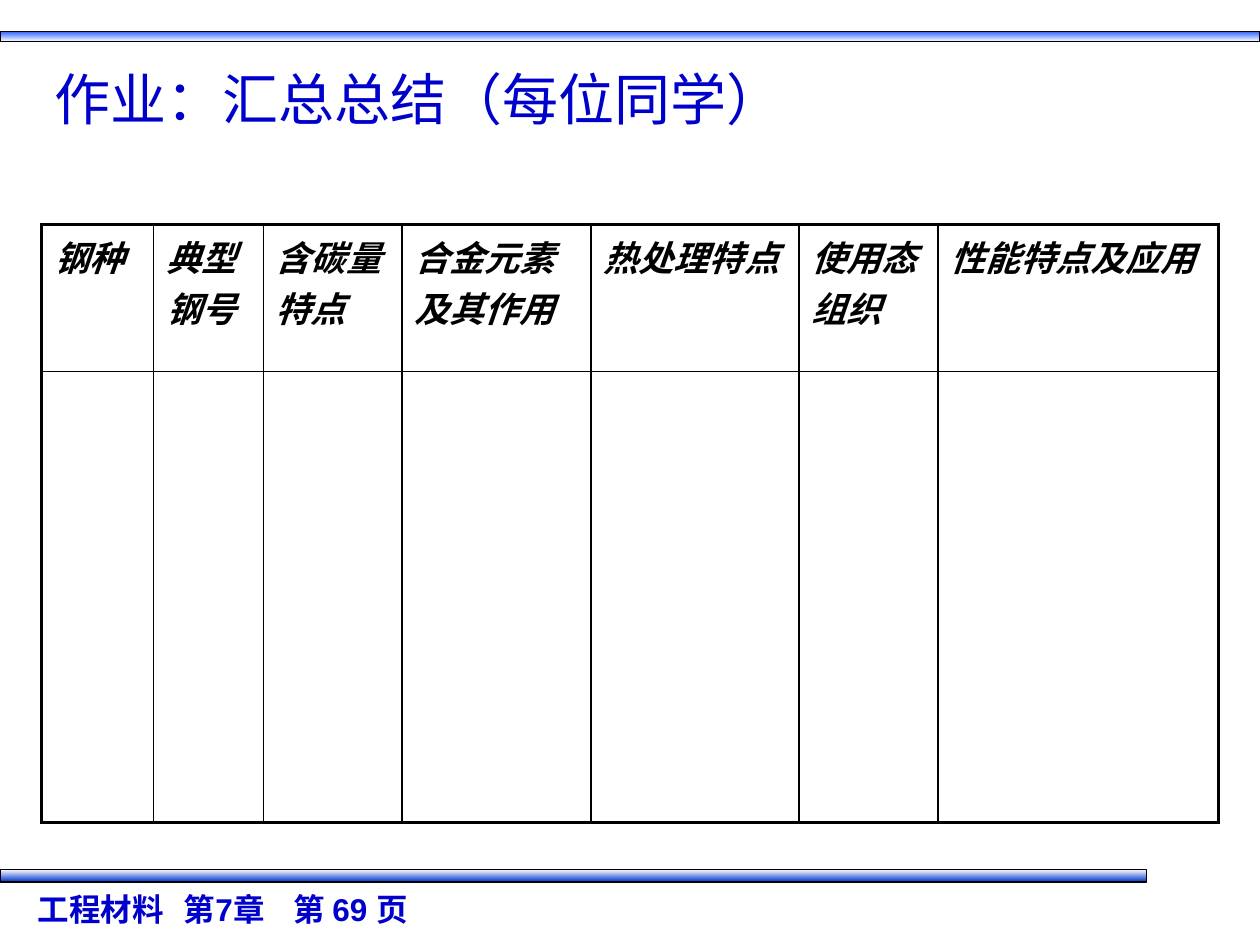
from dataclasses import dataclass

from lxml import etree
from pptx import Presentation
from pptx.dml.color import RGBColor
from pptx.enum.shapes import MSO_SHAPE
from pptx.enum.text import MSO_ANCHOR
from pptx.oxml.ns import qn
from pptx.util import Cm, Pt

RECTANGLE = MSO_SHAPE.RECTANGLE
TOP = MSO_ANCHOR.TOP

BLACK = RGBColor(0x00, 0x00, 0x00)
WHITE = RGBColor(0xFF, 0xFF, 0xFF)
TEXT_BLUE = RGBColor(0x00, 0x00, 0xCC)
LIGHT_BLUE = RGBColor(0x33, 0x66, 0xFF)
DEEP_BLUE = RGBColor(0x00, 0x33, 0xCC)

LATIN_FONT = "Arial"
CHINESE_FONT = "Noto Sans CJK SC"
OUTER_LINE = Pt(2.25)
INNER_LINE = Pt(1)


@dataclass
class Bar:
    top: float
    width: float
    height: float
    upper: RGBColor
    lower: RGBColor


@dataclass
class Column:
    heading: str
    width: float


@dataclass
class Style:
    size: float
    color: RGBColor
    font: str = LATIN_FONT
    bold: bool = False
    italic: bool = False


BARS = [
    Bar(0.64, 25.4, 0.2, LIGHT_BLUE, WHITE),
    Bar(17.53, 23.11, 0.25, WHITE, DEEP_BLUE),
]
COLUMNS = [
    Column("钢种", 2.26),
    Column("典型钢号", 2.21),
    Column("含碳量特点", 2.8),
    Column("合金元素及其作用", 3.81),
    Column("热处理特点", 4.19),
    Column("使用态组织", 2.8),
    Column("性能特点及应用", 5.66),
]
ROW_HEIGHTS = [2.97, 9.09]
FOOTER_TABS = [2.95, 5.16]

TITLE_STYLE = Style(32, TEXT_BLUE, CHINESE_FONT)
HEADING_STYLE = Style(20, BLACK, bold=True, italic=True)
FOOTER_STYLE = Style(18, TEXT_BLUE, bold=True)


def add_span(para, text: str, style: Style) -> None:
    span = para.add_run()
    span.text = text
    font = span.font
    font.size = Pt(style.size)
    font.bold = style.bold
    font.italic = style.italic
    font.color.rgb = style.color
    font.name = style.font
    east_asian = etree.SubElement(span._r.get_or_add_rPr(), qn("a:ea"))
    east_asian.set("typeface", CHINESE_FONT)


def add_text_box(page, left: float, top: float, width: float, height: float):
    """Add a wrapped text box and return its first paragraph."""
    box = page.shapes.add_textbox(Cm(left), Cm(top), Cm(width), Cm(height))
    box.text_frame.word_wrap = True
    box.text_frame.vertical_anchor = TOP
    return box.text_frame.paragraphs[0]


def add_bar(page, bar: Bar) -> None:
    shape = page.shapes.add_shape(
        RECTANGLE, Cm(0), Cm(bar.top), Cm(bar.width), Cm(bar.height))
    shape.shadow.inherit = False
    shape.fill.gradient()
    shape.fill.gradient_angle = 270
    for stop, color, position in zip(
            shape.fill.gradient_stops, (bar.upper, bar.lower), (0, 1)):
        stop.color.rgb = color
        stop.position = position
    shape.line.color.rgb = BLACK
    shape.line.width = Pt(0.75)


def set_borders(cell, widths: dict[str, int]) -> None:
    """Draw black cell borders; keys are L, R, T, B in that order."""
    properties = cell._tc.get_or_add_tcPr()
    for index, (side, width) in enumerate(widths.items()):
        line = etree.Element(qn(f"a:ln{side}"), w=str(int(width)))
        fill = etree.SubElement(line, qn("a:solidFill"))
        etree.SubElement(fill, qn("a:srgbClr"), val=str(BLACK))
        properties.insert(index, line)


def add_steel_table(page, columns: list[Column]) -> None:
    width = sum(column.width for column in columns)
    frame = page.shapes.add_table(
        len(ROW_HEIGHTS), len(columns), Cm(0.84), Cm(4.52),
        Cm(width), Cm(sum(ROW_HEIGHTS)))
    table = frame.table
    table.first_row = False
    table.horz_banding = False
    last_row, last_column = len(ROW_HEIGHTS) - 1, len(columns) - 1

    for row, height in enumerate(ROW_HEIGHTS):
        table.rows[row].height = Cm(height)
        for index, column in enumerate(columns):
            table.columns[index].width = Cm(column.width)
            cell = table.cell(row, index)
            cell.fill.background()
            on_edge = {
                "L": index == 0,
                "R": index == last_column,
                "T": row == 0,
                "B": row == last_row,
            }
            set_borders(cell, {side: OUTER_LINE if edge else INNER_LINE
                               for side, edge in on_edge.items()})
            if row == 0:
                add_span(cell.text_frame.paragraphs[0],
                         column.heading, HEADING_STYLE)


def add_footer(page) -> None:
    para = add_text_box(page, 0.51, 17.82, 16.2, 1.17)
    tab_list = etree.SubElement(para._p.get_or_add_pPr(), qn("a:tabLst"))
    for position in FOOTER_TABS:
        etree.SubElement(tab_list, qn("a:tab"),
                         pos=str(int(Cm(position))), algn="l")
    add_span(para, "工程材料\t第7章\t第 69 页", FOOTER_STYLE)


def main() -> None:
    deck = Presentation()
    deck.slide_width = Cm(25.4)
    deck.slide_height = Cm(19.05)
    page = deck.slides.add_slide(deck.slide_layouts[6])

    for bar in BARS:
        add_bar(page, bar)
    add_footer(page)

    title = add_text_box(page, 0.84, 1.32, 23.72, 2.01)
    title.line_spacing = 0.9
    add_span(title, "作业：汇总总结（每位同学）", TITLE_STYLE)

    add_steel_table(page, COLUMNS)
    deck.save("out.pptx")


if __name__ == "__main__":
    main()
